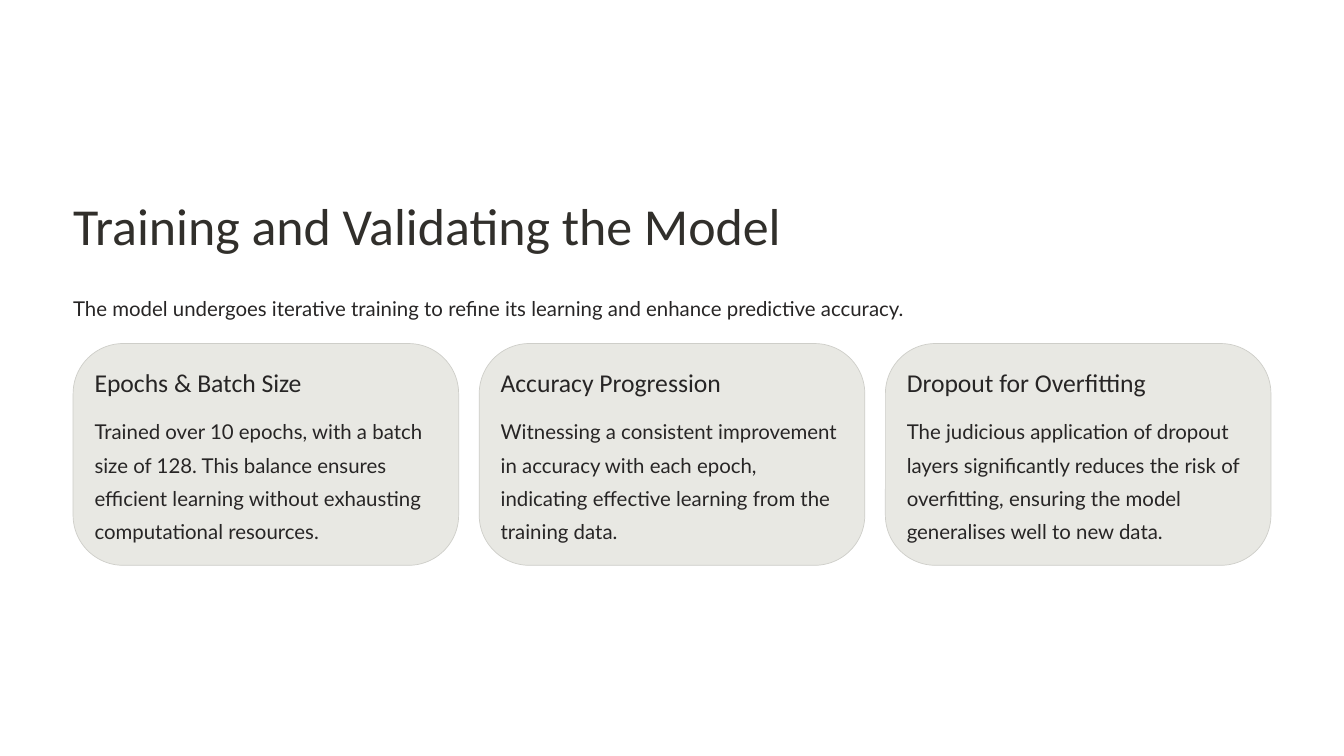
from pptx import Presentation
from pptx.dml.color import RGBColor
from pptx.enum.shapes import MSO_SHAPE
from pptx.util import Inches, Pt

COLORS = {
    "title": "312F2B",
    "text": "272525",
    "card": "E8E8E3",
    "border": "CECEC9",
}

LEFT = 0.87
CARD_TOP, CARD_W, CARD_H = 4.09, 4.59, 2.64
CARD_STEP = 4.835
PAD = 0.255

CARDS = [
    ("Epochs & Batch Size",
     "Trained over 10 epochs, with a batch size of 128. This balance ensures "
     "efficient learning without exhausting computational resources."),
    ("Accuracy Progression",
     "Witnessing a consistent improvement in accuracy with each epoch, "
     "indicating effective learning from the training data."),
    ("Dropout for Overfitting",
     "The judicious application of dropout layers significantly reduces the "
     "risk of overfitting, ensuring the model generalises well to new data."),
]


def rgb(name):
    return RGBColor.from_string(COLORS[name])


def add_text(s, text, x, y, w, h, font, size, spacing, color="text"):
    sp = s.shapes.add_textbox(Inches(x), Inches(y), Inches(w), Inches(h))
    tf = sp.text_frame
    tf.word_wrap = True
    tf.margin_left = tf.margin_right = tf.margin_top = tf.margin_bottom = 0
    p = tf.paragraphs[0]
    p.line_spacing = Pt(spacing)
    r = p.add_run()
    r.text = text
    r.font.name = font
    r.font.size = Pt(size)
    r.font.color.rgb = rgb(color)


def add_card(s, x, heading, body):
    sp = s.shapes.add_shape(MSO_SHAPE.ROUNDED_RECTANGLE, Inches(x),
                            Inches(CARD_TOP), Inches(CARD_W), Inches(CARD_H))
    sp.adjustments[0] = 0.226
    sp.shadow.inherit = False
    sp.fill.solid()
    sp.fill.fore_color.rgb = rgb("card")
    sp.line.color.rgb = rgb("border")
    sp.line.width = Pt(0.6)

    text_w = CARD_W - 2 * PAD
    add_text(s, heading, x + PAD, CARD_TOP + 0.26, text_w, 0.39, "Calibri", 22, 27.5)
    add_text(s, body, x + PAD, CARD_TOP + 0.8, text_w, 1.59, "Lato", 17.5, 28.5)


def main():
    prs = Presentation()
    prs.slide_width, prs.slide_height = Inches(16), Inches(9)
    s = prs.slides.add_slide(prs.slide_layouts[6])

    # Title and introduction
    add_text(s, "Training and Validating the Model",
             LEFT, 2.27, 9.44, 0.78, "Calibri", 44.5, 55.5, "title")
    add_text(s, "The model undergoes iterative training to refine its learning "
                "and enhance predictive accuracy.",
             LEFT, 3.42, 14.26, 0.4, "Lato", 17.5, 28.5)

    # Row of cards
    for i, (heading, body) in enumerate(CARDS):
        add_card(s, LEFT + i * CARD_STEP, heading, body)

    prs.save("out.pptx")


if __name__ == "__main__":
    main()
